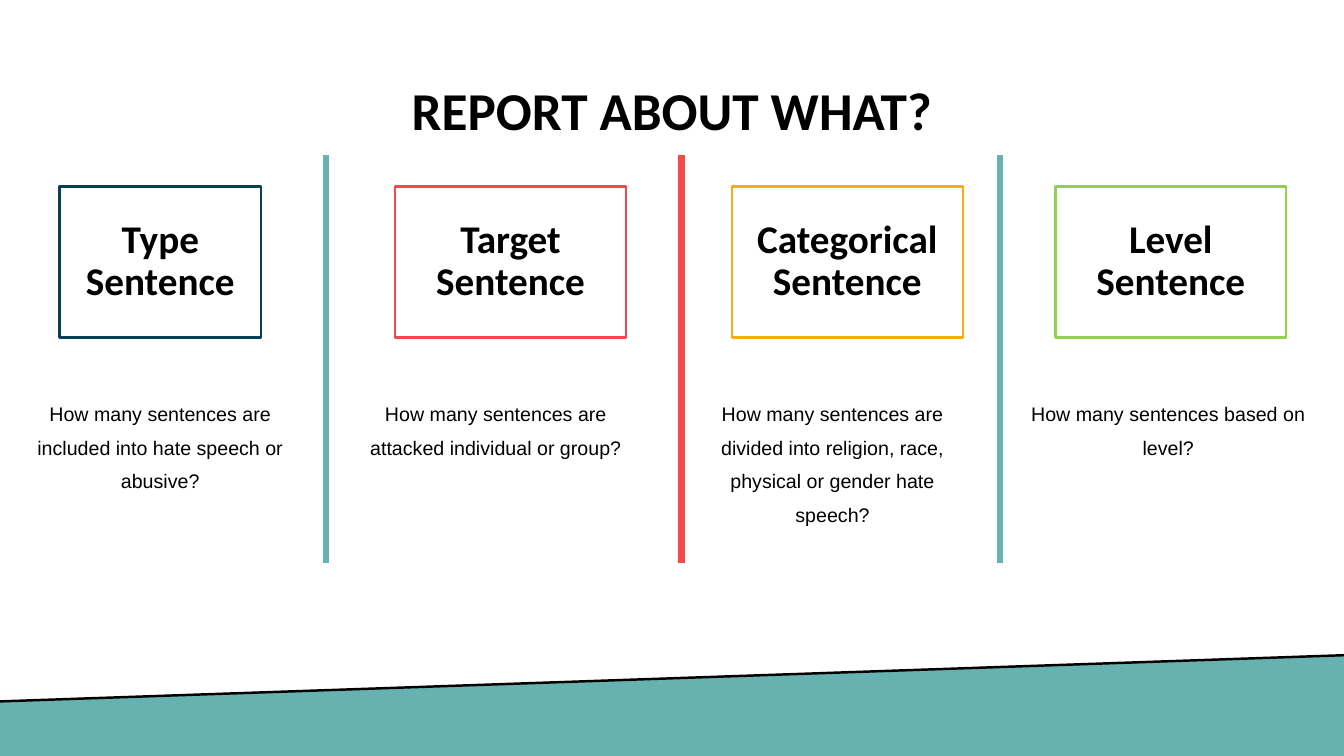
from lxml.etree import SubElement
from pptx import Presentation
from pptx.dml.color import RGBColor
from pptx.enum.shapes import MSO_CONNECTOR as Connector, MSO_SHAPE as Shape
from pptx.enum.text import MSO_ANCHOR as Anchor, PP_ALIGN as Align
from pptx.oxml.ns import qn
from pptx.util import Pt

BLACK = RGBColor(0x00, 0x00, 0x00)
TEAL = RGBColor(0x66, 0xB2, 0xB0)
NAVY = RGBColor(0x0A, 0x40, 0x54)
RED = RGBColor(0xF2, 0x49, 0x4C)
ORANGE = RGBColor(0xF9, 0xAA, 0x19)
GREEN = RGBColor(0x92, 0xD0, 0x50)

HEADING = {"name": "Calibri", "bold": True}
QUESTION = {"name": "Arial", "size": Pt(14)}
TIGHT = {"line_spacing": 0.9}
LOOSE = {"line_spacing": Pt(24), "space_before": Pt(10)}


def write_text(shape, text, anchor, font_format, paragraph_format):
    frame = shape.text_frame
    frame.word_wrap = True
    frame.vertical_anchor = anchor
    paragraph = frame.paragraphs[0]
    paragraph.text = text
    paragraph.alignment = Align.CENTER
    paragraph.font.color.rgb = BLACK
    for target, values in ((paragraph.font, font_format), (paragraph, paragraph_format)):
        for name, value in values.items():
            setattr(target, name, value)


def draw_line(start_x, start_y, end_x, end_y, color, width):
    line = slide.shapes.add_connector(
        Connector.STRAIGHT, Pt(start_x), Pt(start_y), Pt(end_x), Pt(end_y))
    line.line.color.rgb = color
    line.line.width = Pt(width)
    SubElement(line._element.spPr, qn("a:effectLst"))


presentation = Presentation()
presentation.slide_width = Pt(960)
presentation.slide_height = Pt(540)
slide = presentation.slides.add_slide(presentation.slide_layouts[6])

builder = slide.shapes.build_freeform(0, 501, scale=Pt(1))
builder.add_line_segments([(960, 468), (960, 540), (0, 540)], close=True)
footer = builder.convert_to_shape()
footer.shadow.inherit = False
footer.fill.solid()
footer.fill.fore_color.rgb = TEAL
footer.line.fill.background()
draw_line(960, 468, 0, 501, BLACK, 1.75)

title = slide.shapes.add_textbox(Pt(66), Pt(29), Pt(828), Pt(104))
write_text(title, "REPORT ABOUT WHAT?", Anchor.MIDDLE, {**HEADING, "size": Pt(38)}, TIGHT)

columns = [
    ("Type Sentence", "How many sentences are included into hate speech or abusive?",
     NAVY, 42.5, 144, 6.5),
    ("Target Sentence", "How many sentences are attacked individual or group?",
     RED, 282.2, 165, 246.2),
    ("Categorical Sentence",
     "How many sentences are divided into religion, race, physical or gender hate speech?",
     ORANGE, 522.7, 165, 486.7),
    ("Level Sentence", "How many sentences based on level?",
     GREEN, 753.8, 165, 726.5),
]
for heading, question, color, box_left, box_width, question_left in columns:
    box = slide.shapes.add_shape(
        Shape.RECTANGLE, Pt(box_left), Pt(133.2), Pt(box_width), Pt(108))
    box.shadow.inherit = False
    box.fill.background()
    box.line.color.rgb = color
    box.line.width = Pt(1.75)
    write_text(box, heading, Anchor.MIDDLE, {**HEADING, "size": Pt(28)}, TIGHT)
    question_box = slide.shapes.add_textbox(Pt(question_left), Pt(276.5), Pt(216), Pt(126))
    write_text(question_box, question, Anchor.TOP, QUESTION, LOOSE)

for divider_x, color in ((233, TEAL), (486.7, RED), (714.2, TEAL)):
    draw_line(divider_x, 110.9, divider_x, 402.5, color, 4.5)

presentation.save("out.pptx")
